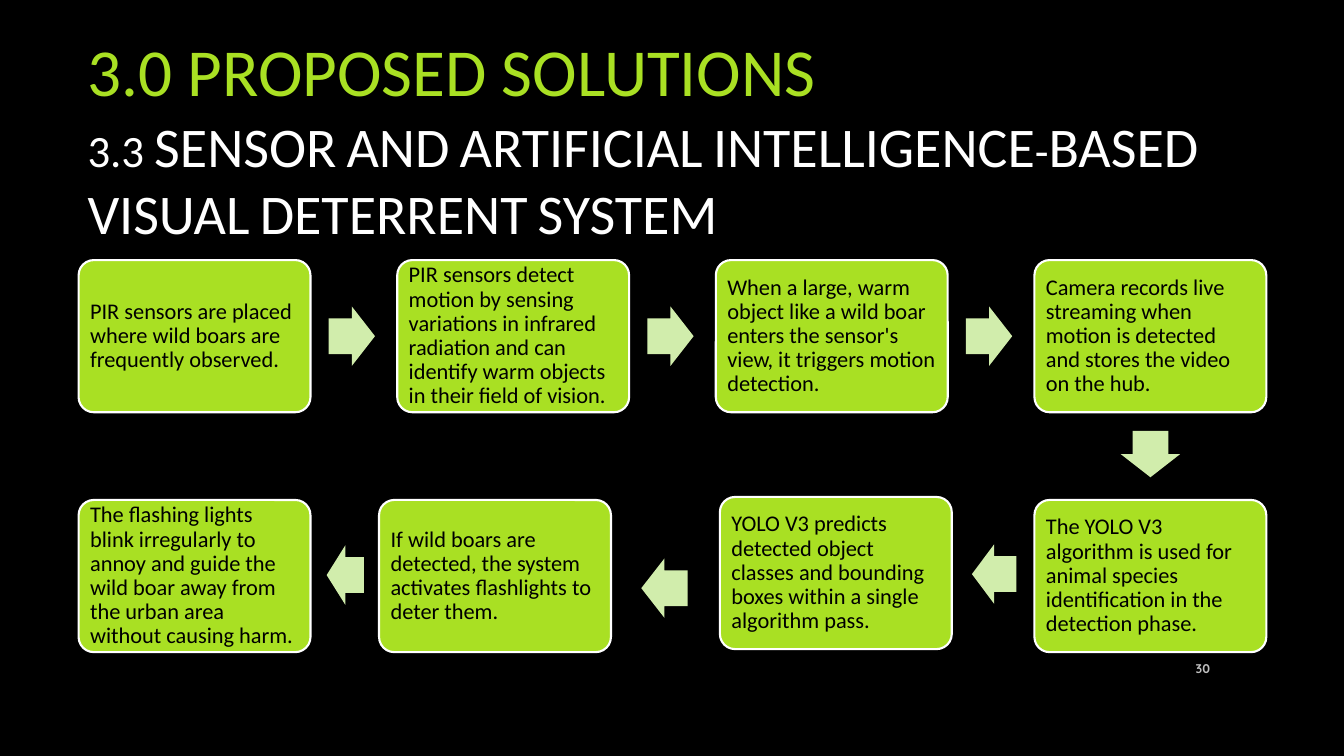
from dataclasses import dataclass

from pptx import Presentation
from pptx.dml.color import RGBColor
from pptx.enum.shapes import MSO_SHAPE
from pptx.enum.text import MSO_ANCHOR, PP_ALIGN
from pptx.util import Inches, Pt


@dataclass(frozen=True)
class Theme:
    background: RGBColor = RGBColor.from_string("000000")
    accent: RGBColor = RGBColor.from_string("A9E023")
    arrow: RGBColor = RGBColor.from_string("D1EDAC")
    light: RGBColor = RGBColor.from_string("FFFFFF")
    muted: RGBColor = RGBColor.from_string("BFBFBF")
    dark: RGBColor = RGBColor.from_string("000000")
    font: str = "Calibri"
    number_font: str = "Quicksand"
    title_size: int = 48
    subtitle_size: int = 40
    step_size: int = 16
    number_size: int = 9


THEME = Theme()
STEP_WIDTH, STEP_HEIGHT = 2.3, 1.51
FLOW_BOX = (0.78, 2.58, 11.78, 3.89)
TOP_STEPS = [
    "PIR sensors are placed where wild boars are frequently observed.",
    "PIR sensors detect motion by sensing variations in infrared radiation "
    "and can identify warm objects in their field of vision.",
    "When a large, warm object like a wild boar enters the sensor's view, "
    "it triggers motion detection.",
    "Camera records live streaming when motion is detected and stores the "
    "video on the hub.",
]
BOTTOM_STEPS = [
    (9.48, 2.38, "The YOLO V3 algorithm is used for animal species "
     "identification in the detection phase."),
    (6.36, 2.35, "YOLO V3 predicts detected object classes and bounding "
     "boxes within a single algorithm pass."),
    (2.98, 2.38, "If wild boars are detected, the system activates "
     "flashlights to deter them."),
    (0, 2.38, "The flashing lights blink irregularly to annoy and guide the "
     "wild boar away from the urban area without causing harm."),
]
BOTTOM_ARROWS = [(8.86, 2.82, 0.44), (5.58, 2.96, 0.46), (2.46, 2.83, 0.37)]


def style_text(shape, text, size, color, font=THEME.font):
    frame = shape.text_frame
    frame.word_wrap = True
    frame.text = text
    para = frame.paragraphs[0]
    span = para.runs[0]
    span.font.name = font
    span.font.size = Pt(size)
    span.font.color.rgb = color
    return para, span


def add_text(slide, box, text, size, color, anchor, font=THEME.font):
    shape = slide.shapes.add_textbox(*map(Inches, box))
    shape.text_frame.vertical_anchor = anchor
    return style_text(shape, text, size, color, font)


def add_preset(slide, kind, box, fill):
    shape = slide.shapes.add_shape(kind, *map(Inches, box))
    shape.shadow.inherit = False
    shape.fill.solid()
    shape.fill.fore_color.rgb = fill
    return shape


def add_step(slide, left, top, text):
    box = (left, top, STEP_WIDTH, STEP_HEIGHT)
    step = add_preset(slide, MSO_SHAPE.ROUNDED_RECTANGLE, box, THEME.accent)
    step.adjustments[0] = 0.1
    step.line.color.rgb = THEME.light
    step.line.width = Pt(1.5)
    frame = step.text_frame
    frame.vertical_anchor = MSO_ANCHOR.MIDDLE
    frame.margin_left = frame.margin_right = Inches(0.07)
    frame.margin_top = frame.margin_bottom = Inches(0.07)
    para, _ = style_text(step, text, THEME.step_size, THEME.dark)
    para.alignment = PP_ALIGN.LEFT
    para.line_spacing = 0.9


def add_arrow(slide, left, top, width=0.46, rotation=0):
    box = (left, top, width, 0.59)
    arrow = add_preset(slide, MSO_SHAPE.RIGHT_ARROW, box, THEME.arrow)
    arrow.adjustments[0] = 0.6
    arrow.adjustments[1] = 0.5
    arrow.line.fill.background()
    arrow.rotation = rotation


def add_flow(slide, box):
    left, top, width, height = box
    pitch = (width - STEP_WIDTH) / (len(TOP_STEPS) - 1)
    for index, text in enumerate(TOP_STEPS):
        step_left = left + index * pitch
        add_step(slide, step_left, top, text)
        if index < len(TOP_STEPS) - 1:
            add_arrow(slide, step_left + 2.48, top + 0.46)
    add_arrow(slide, left + 10.4, top + 1.63, rotation=90)
    for step_left, step_top, text in BOTTOM_STEPS:
        add_step(slide, left + step_left, top + step_top, text)
    for arrow_left, arrow_top, arrow_width in BOTTOM_ARROWS:
        add_arrow(slide, left + arrow_left, top + arrow_top, arrow_width, 180)


def add_subtitle(slide, box):
    text = "3.3 SENSOR AND ARTIFICIAL INTELLIGENCE-BASED VISUAL DETERRENT SYSTEM"
    _, span = add_text(slide, box, text, THEME.subtitle_size, THEME.light,
                       MSO_ANCHOR.TOP)
    fill = span.font.fill
    fill.gradient()
    fill.gradient_angle = 267
    colors = (THEME.light, THEME.muted)
    for position, (stop, color) in enumerate(zip(fill.gradient_stops, colors)):
        stop.color.rgb = color
        stop.position = position
    span._r.get_or_add_rPr().set("cap", "small")


def add_page_number(slide, box):
    para, span = add_text(slide, box, "30", THEME.number_size, THEME.muted,
                          MSO_ANCHOR.MIDDLE, THEME.number_font)
    para.alignment = PP_ALIGN.RIGHT
    span.font.bold = True


def main():
    deck = Presentation()
    deck.slide_width, deck.slide_height = Inches(13.33), Inches(7.5)
    slide = deck.slides.add_slide(deck.slide_layouts[6])
    slide.background.fill.solid()
    slide.background.fill.fore_color.rgb = THEME.background
    add_text(slide, (0.77, 0, 10.83, 1.39), "3.0 PROPOSED SOLUTIONS",
             THEME.title_size, THEME.accent, MSO_ANCHOR.MIDDLE)
    add_flow(slide, FLOW_BOX)
    add_page_number(slide, (11.5, 6.43, 0.6, 0.4))
    add_subtitle(slide, (0.77, 1.06, 12.56, 1.55))
    deck.save("out.pptx")


if __name__ == "__main__":
    main()
